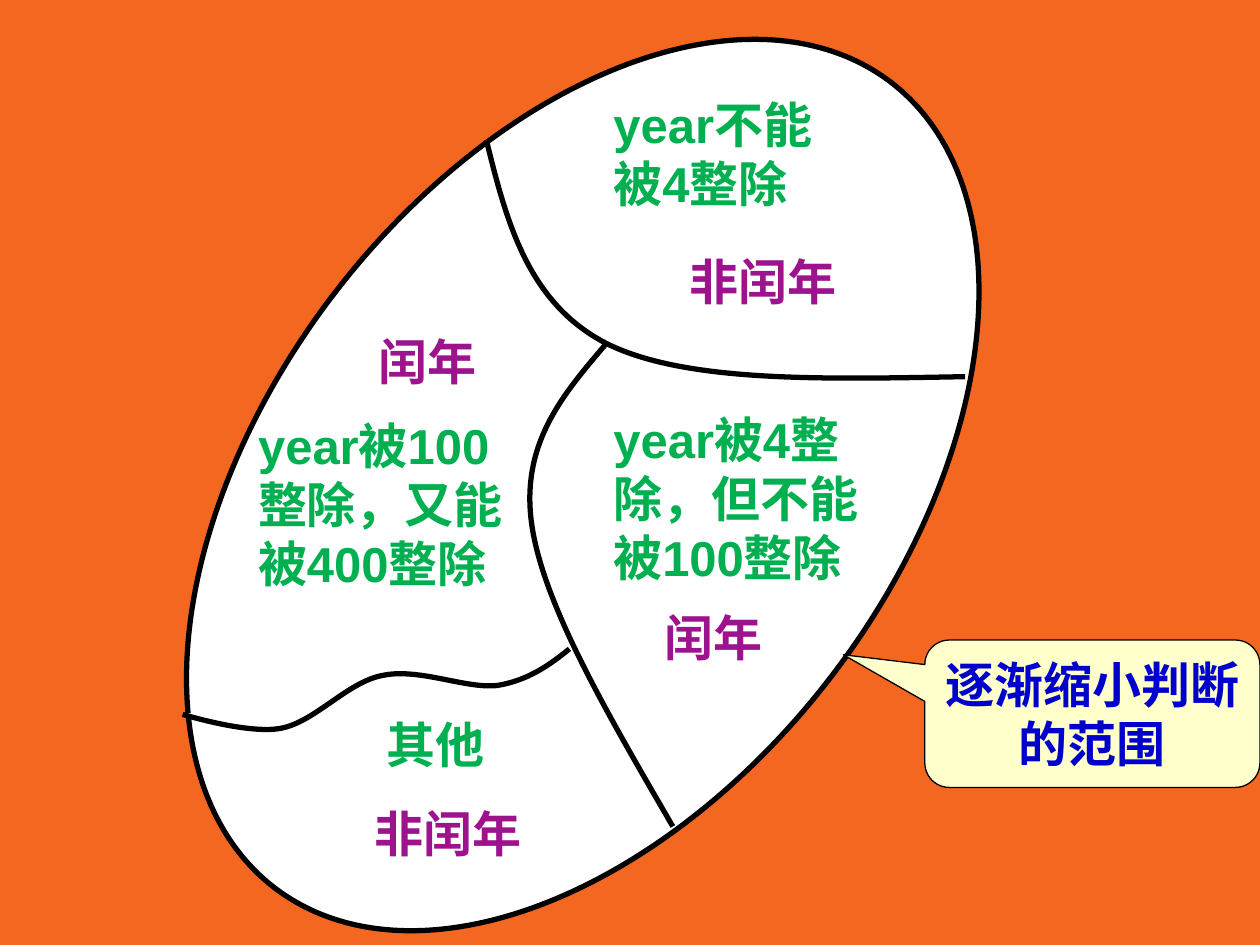
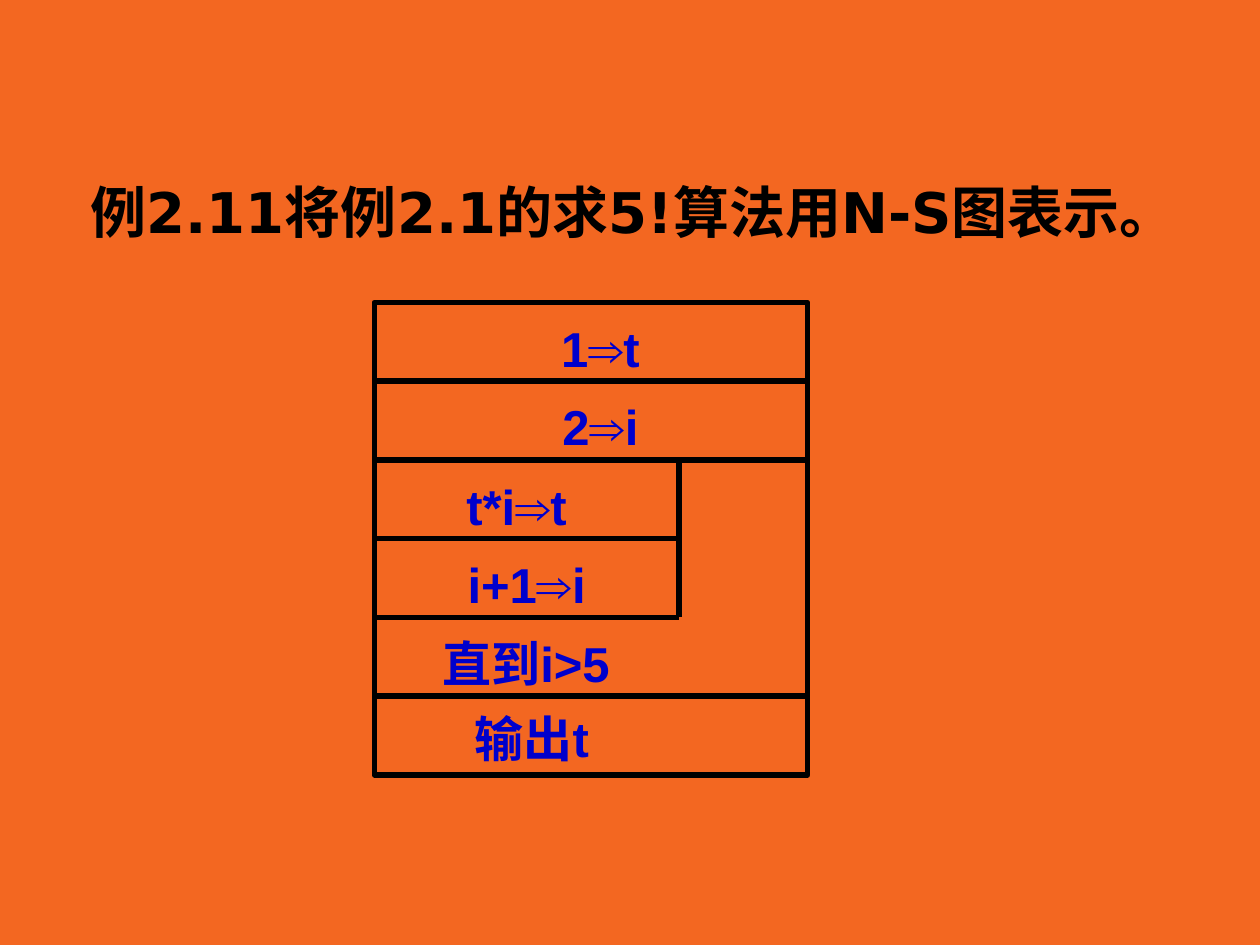
import pptx
import pptx.util
import pptx.dml.color
import pptx.enum.shapes
import pptx.enum.text
import pptx.oxml.ns
import lxml.etree

Inches = pptx.util.Inches
Pt = pptx.util.Pt
MSO_SHAPE = pptx.enum.shapes.MSO_SHAPE
ALIGN = pptx.enum.text.PP_ALIGN
FIT = pptx.enum.text.MSO_AUTO_SIZE.SHAPE_TO_FIT_TEXT
MIDDLE = pptx.enum.text.MSO_ANCHOR.MIDDLE
qn = pptx.oxml.ns.qn

COLORS = {
    name: pptx.dml.color.RGBColor.from_string(value)
    for name, value in {
        "background": "F36721",
        "outline": "000000",
        "region": "FFFFFF",
        "condition": "00B050",
        "verdict": "9D138D",
        "callout": "FFFFCC",
        "step": "0000CC",
    }.items()
}
LABEL_FONT = {"name": "Arial", "size": Pt(28), "bold": True}
HEADING_FONT = {"name": "DejaVu Sans", "size": Pt(32), "bold": True}
WRAPPED = {"word_wrap": True, "auto_size": FIT}


def write(shape, text, color, align, font=LABEL_FONT, frame=WRAPPED):
    for key, value in frame.items():
        setattr(shape.text_frame, key, value)
    paragraph = shape.text_frame.paragraphs[0]
    paragraph.alignment = align
    run = paragraph.add_run()
    run.text = text
    for key, value in font.items():
        setattr(run.font, key, value)
    run.font.color.rgb = COLORS[color]
    return paragraph


def style(shape, fill=None, width=3):
    shape.shadow.inherit = False
    if fill:
        shape.fill.solid()
        shape.fill.fore_color.rgb = COLORS[fill]
    else:
        shape.fill.background()
    if width:
        shape.line.color.rgb = COLORS["outline"]
        shape.line.width = Pt(width)
    else:
        shape.line.fill.background()


presentation = pptx.Presentation()
presentation.slide_width = Inches(10)
presentation.slide_height = Inches(7.5)
leap_year, factorial = [
    presentation.slides.add_slide(presentation.slide_layouts[6]) for _ in range(2)
]
for slide in (leap_year, factorial):
    slide.background.fill.solid()
    slide.background.fill.fore_color.rgb = COLORS["background"]

all_years = leap_year.shapes.add_shape(
    MSO_SHAPE.OVAL, Inches(0.6), Inches(1.36), Inches(8.05), Inches(4.98)
)
all_years.rotation = 307.4
style(all_years, "region")

dividers = [
    (None, [(3.86, 1.11), (4.02, 1.76), (4.19, 2.41), (4.82, 2.73),
            (5.45, 3.04), (6.55, 3.01), (7.66, 2.99)]),
    (None, [(4.81, 2.73), (4.47, 3.13), (4.13, 3.52), (4.22, 4.16),
            (4.31, 4.8), (4.83, 5.68), (5.34, 6.56)]),
    ("region", [(4.52, 5.15), (4.36, 5.28), (4.19, 5.4), (3.95, 5.44),
                (3.7, 5.47), (3.33, 5.3), (3.04, 5.36),
                (2.76, 5.41), (2.5, 5.73), (2.23, 5.78),
                (1.97, 5.83), (1.45, 5.67), (1.45, 5.67)]),
]
for fill, controls in dividers:
    points = [(Inches(x), Inches(y)) for x, y in controls]
    builder = leap_year.shapes.build_freeform(*points[0])
    builder.add_line_segments(points[1:], close=False)
    divider = builder.convert_to_shape()
    style(divider, fill)
    outline = next(divider.element.iter(qn("a:moveTo"))).getparent()
    segments = outline.findall(qn("a:lnTo"))
    for start in range(0, len(segments), 3):
        curve = lxml.etree.SubElement(outline, qn("a:cubicBezTo"))
        for segment in segments[start:start + 3]:
            curve.append(segment[0])
            outline.remove(segment)

conditions = [
    ("year不能被4整除", 4.77, 0.7, 1.95, 1.04),
    ("year被4整除，但不能被100整除", 4.77, 3.2, 2.34, 1.51),
    ("year被100整除，又能被400整除", 1.95, 3.25, 2.34, 1.51),
    ("其他", 2.97, 5.62, 1.25, 0.57),
]
verdicts = [
    ("非闰年", 5.08, 1.95, 1.95, 0.57),
    ("闰年", 4.69, 4.77, 1.95, 0.57),
    ("闰年", 2.42, 2.58, 1.95, 0.57),
    ("非闰年", 2.58, 6.33, 1.95, 0.57),
]
steps = [
    ("1⇒t", 4.22, 2.48, 1.09, 0.57),
    ("2⇒i", 4.22, 3.1, 1.09, 0.57),
    ("t*i⇒t", 3.36, 3.73, 1.48, 0.57),
    ("i+1⇒i", 3.44, 4.35, 1.48, 0.57),
    ("直到i>5", 3.12, 4.98, 2.11, 0.57),
]
for slide, labels, color, align in (
    (leap_year, conditions, "condition", ALIGN.LEFT),
    (leap_year, verdicts, "verdict", ALIGN.CENTER),
    (factorial, steps, "step", ALIGN.CENTER),
):
    for text, *box in labels:
        label = slide.shapes.add_textbox(*map(Inches, box))
        write(label, text, color, align)

narrowing = leap_year.shapes.add_shape(
    MSO_SHAPE.ROUNDED_RECTANGULAR_CALLOUT,
    Inches(7.34), Inches(5.08), Inches(2.66), Inches(1.17),
)
for index, value in enumerate((-0.743, -0.4, 0.167)):
    narrowing.adjustments[index] = value
style(narrowing, "callout", 0.75)
write(narrowing, "逐渐缩小判断的范围", "step", ALIGN.CENTER,
      frame={"word_wrap": True, "vertical_anchor": MIDDLE})

heading = factorial.shapes.add_textbox(
    Inches(0.62), Inches(1.25), Inches(8.92), Inches(0.94)
)
example = write(heading, "例2.11将例2.1的求5!算法用N-S图表示。", "outline", ALIGN.LEFT,
                HEADING_FONT, {"word_wrap": True})
example.line_spacing = 1.2
example.space_before = Pt(6.4)
hanging = example._p.get_or_add_pPr()
hanging.set("marL", str(Inches(0.38)))
hanging.set("indent", str(Inches(-0.38)))

left, top, right, loop_right, row = 2.97, 2.4, 6.41, 5.39, 0.625
chart_frame = factorial.shapes.add_shape(
    MSO_SHAPE.FLOWCHART_PROCESS,
    Inches(left), Inches(top), Inches(right - left), Inches(6 * row),
)
style(chart_frame)

rules = [
    (left, top + number * row, end, top + number * row)
    for number, end in enumerate((right, right, loop_right, loop_right, right), 1)
]
rules.append((loop_right, top + 2 * row, loop_right, top + 4 * row))
for ends in rules:
    rule = factorial.shapes.add_connector(
        pptx.enum.shapes.MSO_CONNECTOR.STRAIGHT, *map(Inches, ends)
    )
    rule.line.color.rgb = COLORS["outline"]
    rule.line.width = Pt(3)
    lxml.etree.SubElement(rule.element.spPr, qn("a:effectLst"))

output_step = factorial.shapes.add_shape(
    MSO_SHAPE.PARALLELOGRAM, Inches(3.36), Inches(5.55), Inches(1.72), Inches(0.62)
)
output_step.adjustments[0] = 0.25
style(output_step, width=None)
margins = {f"margin_{side}": 0 for side in ("left", "top", "right", "bottom")}
write(output_step, "输出t", "step", ALIGN.CENTER,
      frame={"word_wrap": False, "vertical_anchor": MIDDLE, **margins})

presentation.save("out.pptx")
